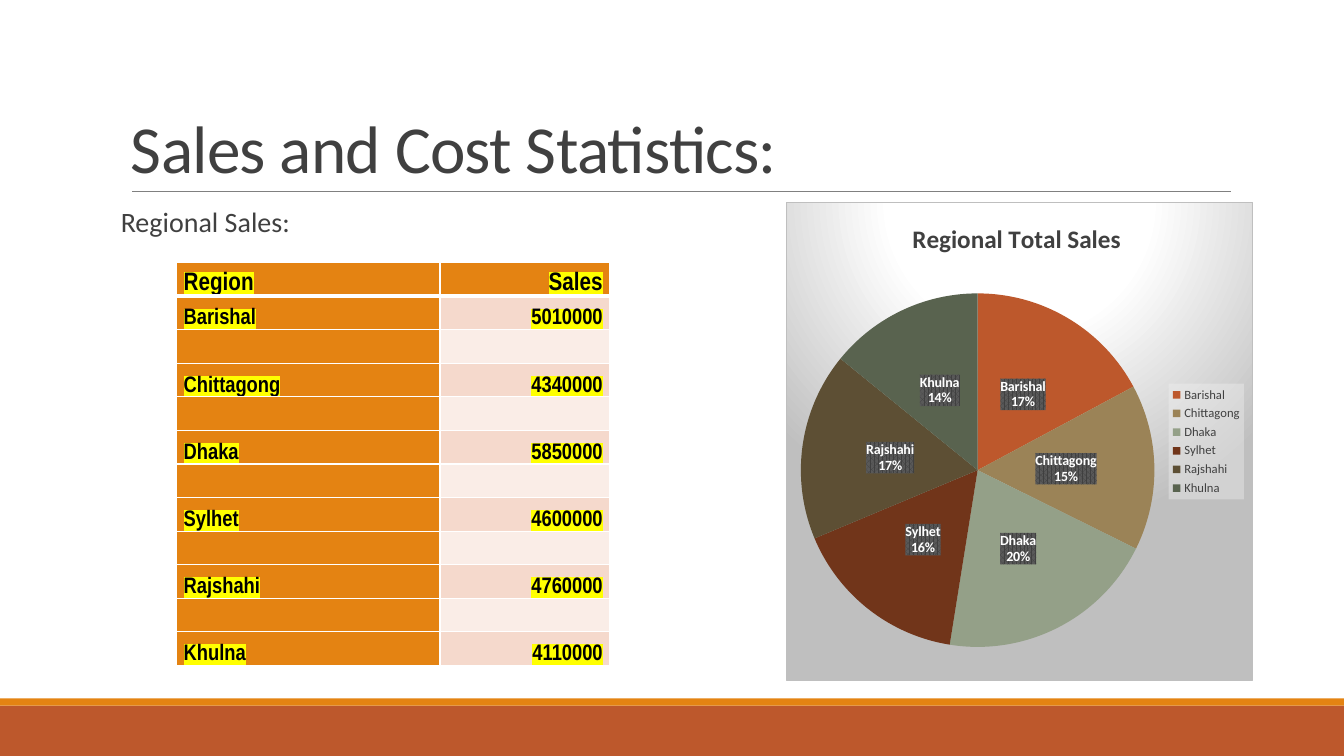
from typing import NamedTuple

from lxml import etree
from pptx import Presentation
from pptx.chart.chart import Chart
from pptx.chart.data import CategoryChartData
from pptx.dml.color import RGBColor
from pptx.enum.chart import XL_CHART_TYPE, XL_LABEL_POSITION, XL_LEGEND_POSITION
from pptx.enum.shapes import MSO_CONNECTOR, MSO_SHAPE
from pptx.enum.text import MSO_ANCHOR, MSO_AUTO_SIZE, PP_ALIGN
from pptx.oxml import parse_xml
from pptx.oxml.ns import nsdecls, qn
from pptx.shapes.placeholder import SlidePlaceholder
from pptx.slide import Slide
from pptx.table import _Cell
from pptx.text.text import _Run
from pptx.util import Emu, Pt

PIE = XL_CHART_TYPE.PIE
LABEL_CENTER = XL_LABEL_POSITION.CENTER
LEGEND_RIGHT = XL_LEGEND_POSITION.RIGHT
STRAIGHT = MSO_CONNECTOR.STRAIGHT
RECTANGLE = MSO_SHAPE.RECTANGLE
TOP, BOTTOM = MSO_ANCHOR.TOP, MSO_ANCHOR.BOTTOM
NO_AUTOFIT = MSO_AUTO_SIZE.NONE
LEFT, RIGHT = PP_ALIGN.LEFT, PP_ALIGN.RIGHT

WHITE = RGBColor(0xFF, 0xFF, 0xFF)
BLACK = RGBColor(0x00, 0x00, 0x00)
INK = RGBColor(0x40, 0x40, 0x40)
RULE_GRAY = RGBColor(0x80, 0x80, 0x80)
EDGE_GRAY = RGBColor(0xBF, 0xBF, 0xBF)
RUST = RGBColor(0xBD, 0x58, 0x2C)
ORANGE = RGBColor(0xE4, 0x83, 0x12)
BAND_DARK = RGBColor(0xF5, 0xD9, 0xCC)
BAND_LIGHT = RGBColor(0xFA, 0xED, 0xE7)
YELLOW = RGBColor(0xFF, 0xFF, 0x00)
LABEL_BACK = RGBColor(0x59, 0x59, 0x59)
LEGEND_BACK = RGBColor(0xF2, 0xF2, 0xF2)

BODY_FONT = "Calibri"
TABLE_FONT = "Arial Narrow"
ROW_HEIGHT = 32
COLUMN_WIDTHS = (251, 162)


def px(length: int) -> Emu:
    return Emu(length * 9525)


class Box(NamedTuple):
    left: int
    top: int
    width: int
    height: int

    def emu(self) -> tuple[Emu, ...]:
        return tuple(px(length) for length in self)


class Band(NamedTuple):
    box: Box
    color: RGBColor


class Region(NamedTuple):
    name: str
    sales: str
    percent: int
    color: RGBColor


BANDS = (
    Band(Box(0, 672, 1280, 48), RUST),
    Band(Box(0, 665, 1280, 7), ORANGE),
)
REGIONS = (
    Region("Barishal", "5010000", 17, RUST),
    Region("Chittagong", "4340000", 15, RGBColor(0x9B, 0x83, 0x57)),
    Region("Dhaka", "5850000", 20, RGBColor(0x94, 0xA0, 0x88)),
    Region("Sylhet", "4600000", 16, RGBColor(0x71, 0x35, 0x1A)),
    Region("Rajshahi", "4760000", 17, RGBColor(0x5D, 0x4F, 0x34)),
    Region("Khulna", "4110000", 14, RGBColor(0x59, 0x63, 0x4F)),
)


def style_run(run: _Run, font: str, size: int, color: RGBColor, bold: bool = False) -> None:
    run.font.name = font
    run.font.size = Pt(size)
    run.font.bold = bold
    run.font.color.rgb = color


def solid(color: RGBColor, alpha: int = 100) -> str:
    return (f'<a:solidFill><a:srgbClr val="{color}"><a:alpha val="{alpha * 1000}"/>'
            "</a:srgbClr></a:solidFill>")


def chart_properties(content: str) -> etree._Element:
    return parse_xml(f'<c:spPr {nsdecls("c", "a")}>{content}</c:spPr>')


def manual_layout(**settings: object) -> etree._Element:
    values = "".join(f'<c:{key} val="{value}"/>' for key, value in settings.items())
    return parse_xml(f'<c:layout {nsdecls("c")}><c:manualLayout>{values}'
                     "</c:manualLayout></c:layout>")


def place_part(part: etree._Element, position: int, layout: etree._Element) -> None:
    """Replace the layout of a chart part."""
    for old in part.findall(qn("c:layout")):
        part.remove(old)
    part.insert(position, layout)


def add_bands_and_rule(slide: Slide) -> None:
    for band in BANDS:
        stripe = slide.shapes.add_shape(RECTANGLE, *band.box.emu())
        stripe.shadow.inherit = False
        stripe.fill.solid()
        stripe.fill.fore_color.rgb = band.color
        stripe.line.fill.background()
    rule = slide.shapes.add_connector(STRAIGHT, px(126), px(182), px(1172), px(182))
    rule.line.color.rgb = RULE_GRAY
    rule.line.width = Pt(0.5)
    etree.SubElement(rule.element.spPr, qn("a:effectLst"))


def fill_placeholder(holder: SlidePlaceholder, box: Box, text: str, size: int,
                     anchor: MSO_ANCHOR, spacing: float) -> _Run:
    holder.left, holder.top, holder.width, holder.height = box.emu()
    frame = holder.text_frame
    frame.word_wrap = True
    frame.auto_size = NO_AUTOFIT
    frame.vertical_anchor = anchor
    paragraph = frame.paragraphs[0]
    paragraph.alignment = LEFT
    paragraph.line_spacing = spacing
    run = paragraph.add_run()
    run.text = text
    style_run(run, BODY_FONT, size, INK)
    return run


def add_heading(slide: Slide) -> None:
    heading = fill_placeholder(slide.shapes.title, Box(115, 30, 1056, 153),
                               "Sales and Cost Statistics:", 48, BOTTOM, 0.85)
    heading.font._element.set("spc", "-50")
    body = slide.placeholders[1]
    fill_placeholder(body, Box(115, 194, 1056, 422), "Regional Sales:", 20, TOP, 0.9)
    body.text_frame.margin_left = body.text_frame.margin_right = 0
    paragraph = body.text_frame.paragraphs[0]
    paragraph.space_before, paragraph.space_after = Pt(12), Pt(2)
    properties = paragraph._p.get_or_add_pPr()
    properties.set("marL", "0")
    properties.set("indent", "0")
    etree.SubElement(properties, qn("a:buNone"))


def format_cell(cell: _Cell, fill: RGBColor, bottom_width: int) -> None:
    cell.margin_left = cell.margin_right = px(7)
    cell.margin_top = cell.margin_bottom = 0
    cell.vertical_anchor = BOTTOM
    properties = cell._tc.get_or_add_tcPr()
    for side, width in (("L", 1), ("R", 1), ("T", 1), ("B", bottom_width)):
        properties.append(parse_xml(
            f'<a:ln{side} {nsdecls("a")} w="{Pt(width)}">{solid(WHITE)}</a:ln{side}>'))
    cell.fill.solid()
    cell.fill.fore_color.rgb = fill


def write_cell(cell: _Cell, text: str, size: int, alignment: PP_ALIGN) -> None:
    paragraph = cell.text_frame.paragraphs[0]
    paragraph.alignment = alignment
    paragraph.line_spacing = 1.07
    run = paragraph.add_run()
    run.text = text
    style_run(run, TABLE_FONT, size, BLACK, bold=True)
    run.font._element.find(qn("a:solidFill")).addnext(parse_xml(
        f'<a:highlight {nsdecls("a")}><a:srgbClr val="{YELLOW}"/></a:highlight>'))


def add_sales_table(slide: Slide) -> None:
    """Regions stand on every second row below the header."""
    row_count = 2 * len(REGIONS)
    box = Box(168, 250, sum(COLUMN_WIDTHS), row_count * ROW_HEIGHT)
    table = slide.shapes.add_table(row_count, 2, *box.emu()).table
    table.horz_banding = False
    for column, width in zip(table.columns, COLUMN_WIDTHS):
        column.width = px(width)
    texts = {0: ("Region", "Sales")}
    texts.update({2 * i + 1: (region.name, region.sales) for i, region in enumerate(REGIONS)})
    for row in range(row_count):
        table.rows[row].height = px(ROW_HEIGHT)
        sales_fill = ORANGE if row == 0 else BAND_DARK if row % 2 else BAND_LIGHT
        for column, fill in enumerate((ORANGE, sales_fill)):
            cell = table.cell(row, column)
            format_cell(cell, fill, 1 if row else 3)
            if row in texts:
                write_cell(cell, texts[row][column], 16 if row else 18, (LEFT, RIGHT)[column])


def style_chart_frame(chart: Chart) -> None:
    stops = "".join(f'<a:gs pos="{position}000"><a:srgbClr val="{color}"/></a:gs>'
                    for position, color in ((0, WHITE), (39, WHITE), (100, EDGE_GRAY)))
    chart._chartSpace.find(qn("c:chart")).addnext(chart_properties(
        f'<a:gradFill><a:gsLst>{stops}</a:gsLst><a:path path="circle">'
        '<a:fillToRect l="50000" t="-80000" r="50000" b="180000"/></a:path></a:gradFill>'
        f'<a:ln w="{Pt(0.75)}">{solid(EDGE_GRAY)}</a:ln>'))
    place_part(chart._chartSpace.chart.plotArea, 0, manual_layout(
        layoutTarget="inner", xMode="edge", yMode="edge", x=0.03, y=0.19, w=0.76, h=0.74))


def add_sales_pie(slide: Slide) -> None:
    data = CategoryChartData()
    data.categories = [region.name for region in REGIONS]
    data.add_series("Series 1", [region.percent for region in REGIONS])
    chart = slide.shapes.add_chart(PIE, *Box(749, 192, 444, 457).emu(), data).chart
    chart.font.name, chart.font.size = BODY_FONT, Pt(10)
    chart.font.color.rgb = BLACK
    style_chart_frame(chart)

    title = chart.chart_title
    run = title.text_frame.paragraphs[0].add_run()
    run.text = "Regional Total Sales"
    style_run(run, BODY_FONT, 18, INK, bold=True)
    place_part(title._element, 1, manual_layout(xMode="edge", yMode="edge", x=0.26, y=0.03))

    chart.has_legend = True
    legend = chart.legend
    legend.position = LEGEND_RIGHT
    legend.include_in_layout = False
    legend.font.name, legend.font.size = BODY_FONT, Pt(9)
    legend.font.color.rgb = INK
    legend._element.find(qn("c:txPr")).addprevious(chart_properties(solid(LEGEND_BACK, 39)))

    pie = chart.plots[0]
    pie.vary_by_categories = True
    for index, region in enumerate(REGIONS):
        slice_format = pie.series[0].points[index].format
        slice_format.fill.solid()
        slice_format.fill.fore_color.rgb = region.color
        slice_format.line.fill.background()
    labels = pie.series[0].data_labels
    labels.show_percentage = labels.show_category_name = True
    labels.show_value = False
    labels.position = LABEL_CENTER
    labels.font.name, labels.font.size, labels.font.bold = BODY_FONT, Pt(10), True
    labels.font.color.rgb = WHITE
    labels._element.find(qn("c:txPr")).addprevious(chart_properties(
        f'<a:pattFill prst="pct75"><a:fgClr><a:srgbClr val="{INK}"/></a:fgClr>'
        f'<a:bgClr><a:srgbClr val="{LABEL_BACK}"/></a:bgClr></a:pattFill>'))


def main() -> None:
    deck = Presentation()
    deck.slide_width, deck.slide_height = px(1280), px(720)
    slide = deck.slides.add_slide(deck.slide_layouts[1])
    add_bands_and_rule(slide)
    add_heading(slide)
    add_sales_pie(slide)
    add_sales_table(slide)
    deck.save("out.pptx")


if __name__ == "__main__":
    main()
